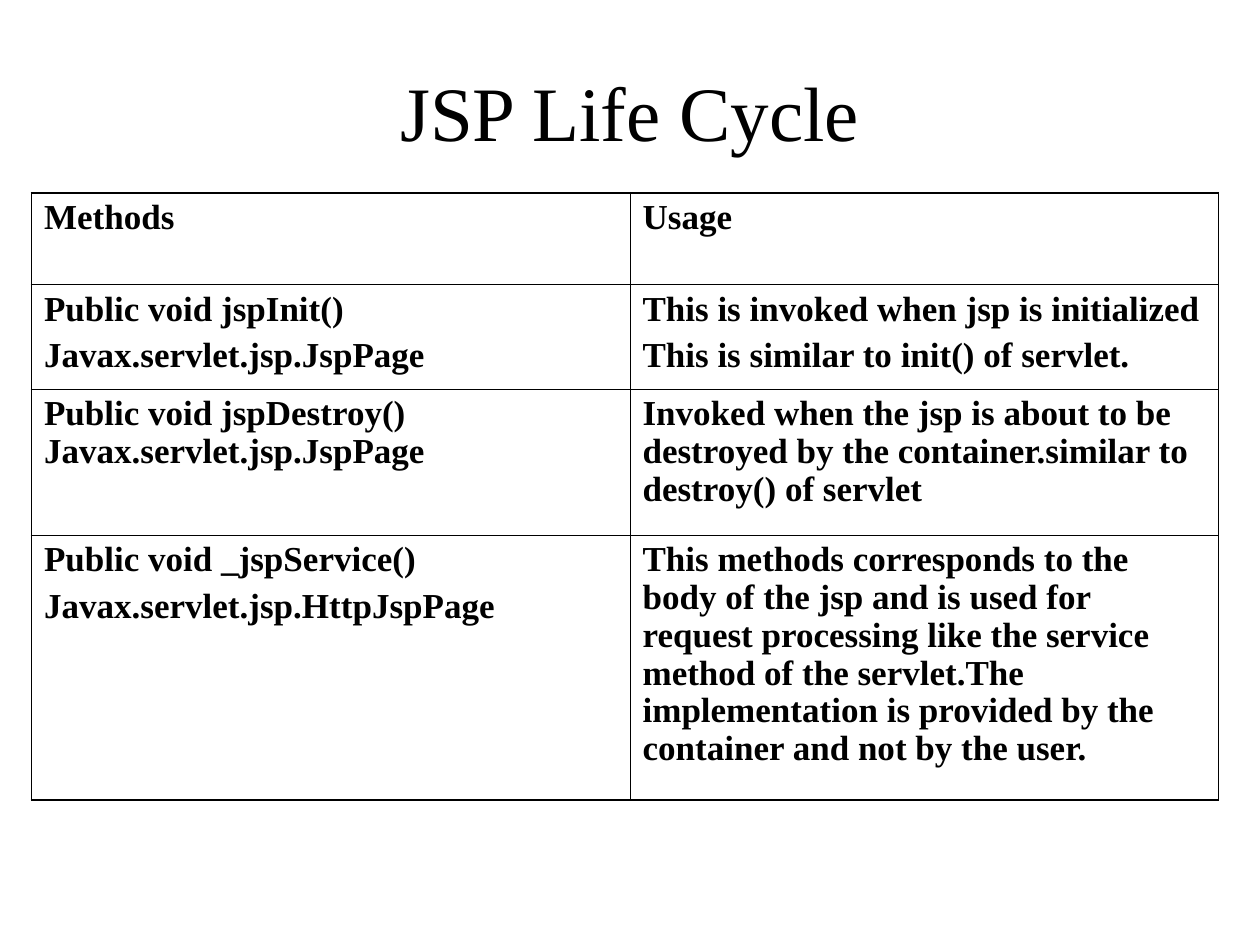
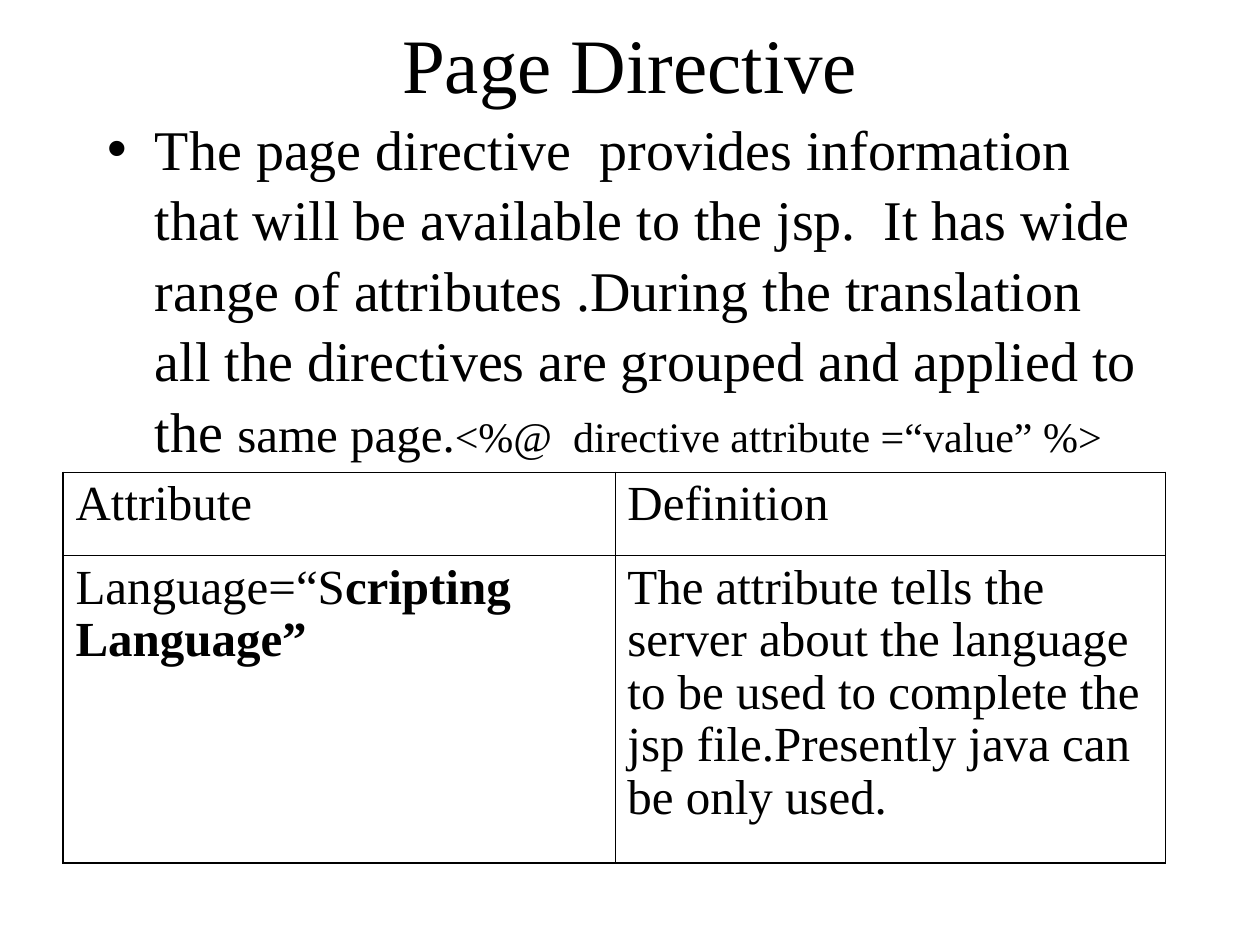
import pptx
import pptx.dml.color
import pptx.enum.text
import pptx.oxml
import pptx.oxml.ns
import pptx.util
from pptx.util import Inches

FONT = "Times New Roman"
INK = "000000"
OUTER_LINE, INNER_LINE = 1.08, 0.45

LIFE_CYCLE_ROWS = [
    (["Methods"], ["Usage"]),
    (["Public void jspInit()", "Javax.servlet.jsp.JspPage"],
     ["This is invoked when jsp is initialized", "This is similar to init() of servlet."]),
    (["Public void jspDestroy() Javax.servlet.jsp.JspPage"],
     ["Invoked when the jsp is about to be destroyed by the container.similar to destroy() of servlet"]),
    (["Public void _jspService()", "Javax.servlet.jsp.HttpJspPage"],
     ["This methods corresponds to the body of the jsp and is used for request processing like the "
      "service method of the servlet.The implementation is provided by the container and not by the user."]),
]
ATTRIBUTE_ROWS = [
    (["Attribute"], ["Definition"]),
    (["Language=“S"],
     ["The attribute tells the server about the language to be used to complete the jsp file."
      "Presently java can be only used."]),
]
DIRECTIVE_SPANS = [
    ("The page directive  provides information that will be available to the jsp.  It has wide range of "
     "attributes .During the translation all the directives are grouped and applied to the ", 32),
    ("same page.", 28),
    ("<%@  directive attribute =“value” %>", 24),
]


def colour(hex_text):
    """Turn a hex string into a colour."""
    return pptx.dml.color.RGBColor.from_string(hex_text)


def style_span(span, size, bold=False):
    """Give a run the shared font and ink."""
    span.font.name = FONT
    span.font.size = pptx.util.Pt(size)
    span.font.bold = bold
    span.font.color.rgb = colour(INK)


def place(shape, box):
    """Move a shape to a box of left, top, width and height in inches."""
    shape.left, shape.top, shape.width, shape.height = map(Inches, box)


def add_title(page, text, box):
    """Fill the centred title placeholder."""
    place(page.shapes.title, box)
    frame = page.shapes.title.text_frame
    frame.text = text
    frame.auto_size = pptx.enum.text.MSO_AUTO_SIZE.NONE
    frame.vertical_anchor = pptx.enum.text.MSO_ANCHOR.MIDDLE
    paragraph = frame.paragraphs[0]
    paragraph.alignment = pptx.enum.text.PP_ALIGN.CENTER
    style_span(paragraph.runs[0], 44)


def add_bullet(page, spans, box):
    """Fill the body placeholder with one bullet of differently sized runs."""
    body = page.placeholders[1]
    place(body, box)
    body.text_frame.auto_size = pptx.enum.text.MSO_AUTO_SIZE.NONE
    paragraph = body.text_frame.paragraphs[0]
    paragraph.space_before = pptx.util.Pt(6)
    paragraph.line_spacing = 1.05
    for text, size in spans:
        span = paragraph.add_run()
        span.text = text
        style_span(span, size)
    properties = paragraph._p.get_or_add_pPr()
    properties.set("marL", str(Inches(0.38)))
    properties.set("indent", str(-Inches(0.38)))
    bullet = pptx.oxml.parse_xml(f'<a:buChar {pptx.oxml.ns.nsdecls("a")} char="•"/>')
    properties.append(bullet)


def set_borders(cell, widths):
    """Draw the left, right, top and bottom lines of a cell."""
    properties = cell._tc.get_or_add_tcPr()
    for index, (side, width) in enumerate(zip("LRTB", widths)):
        line = pptx.oxml.parse_xml(
            f'<a:ln{side} {pptx.oxml.ns.nsdecls("a")} w="{pptx.util.Pt(width)}">'
            f'<a:solidFill><a:srgbClr val="{INK}"/></a:solidFill></a:ln{side}>')
        properties.insert(index, line)


def fill_cell(cell, lines, size, bold, space):
    """Write the paragraphs of one cell without a fill."""
    cell.fill.background()
    cell.text_frame.text = "\n".join(lines)
    for paragraph in cell.text_frame.paragraphs:
        paragraph.space_before = pptx.util.Pt(space)
        paragraph.line_spacing = 0.97
        style_span(paragraph.runs[0], size, bold)


def add_grid(page, rows, box, widths, heights, size, bold, space):
    """Add a plain table with a heavier outer frame and return it."""
    table = page.shapes.add_table(len(rows), len(widths), *map(Inches, box)).table
    table.first_row = table.horz_banding = False
    for column, width in zip(table.columns, widths):
        column.width = Inches(width)
    for row, height in zip(table.rows, heights):
        row.height = Inches(height)
    last_row, last_column = len(rows) - 1, len(widths) - 1
    for r, row in enumerate(rows):
        for c, lines in enumerate(row):
            cell = table.cell(r, c)
            fill_cell(cell, lines, size, bold, space)
            on_edge = (c == 0, c == last_column, r == 0, r == last_row)
            set_borders(cell, [OUTER_LINE if edge else INNER_LINE for edge in on_edge])
    return table


def build_life_cycle(deck):
    """Build the slide on the JSP life cycle methods."""
    page = deck.slides.add_slide(deck.slide_layouts[5])
    add_title(page, "JSP Life Cycle", (0.75, 0.67, 8.5, 0.42))
    add_grid(page, LIFE_CYCLE_ROWS, (0.25, 1.53, 9.42, 4.82), (4.75, 4.67),
             (0.73, 0.83, 1.16, 2.1), 20, True, 5)


def build_page_directive(deck):
    """Build the slide on the page directive and its attribute."""
    page = deck.slides.add_slide(deck.slide_layouts[1])
    add_title(page, "Page Directive", (0.75, 0.33, 8.5, 0.33))
    add_bullet(page, DIRECTIVE_SPANS, (0.75, 0.83, 8.5, 5.83))
    table = add_grid(page, ATTRIBUTE_ROWS, (0.5, 3.75, 8.75, 3.1), (4.38, 4.37),
                     (0.66, 2.44), 28, False, 7)
    span = table.cell(1, 0).text_frame.paragraphs[0].add_run()
    span.text = "cripting Language”"
    style_span(span, 28, True)


def main():
    """Build and save the deck."""
    deck = pptx.Presentation()
    deck.slide_width, deck.slide_height = Inches(10), Inches(7.5)
    build_life_cycle(deck)
    build_page_directive(deck)
    deck.save("out.pptx")


if __name__ == "__main__":
    main()
